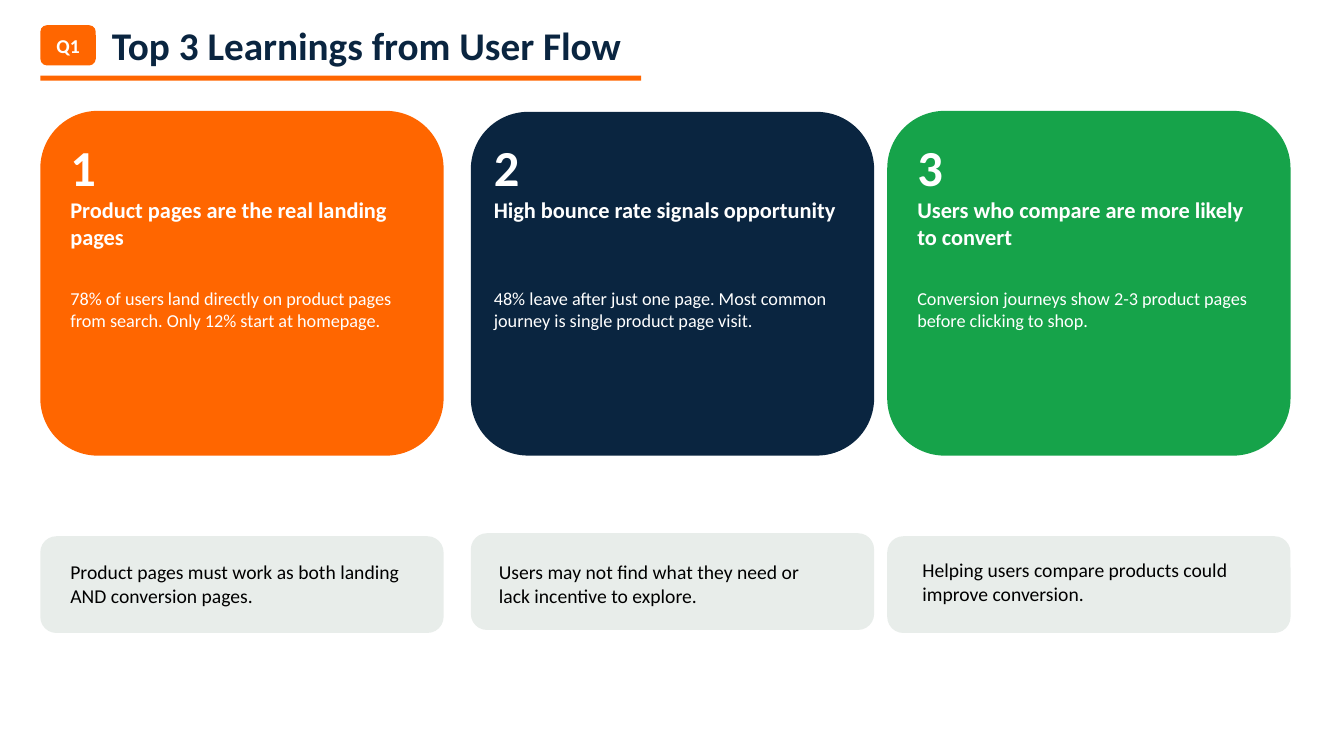
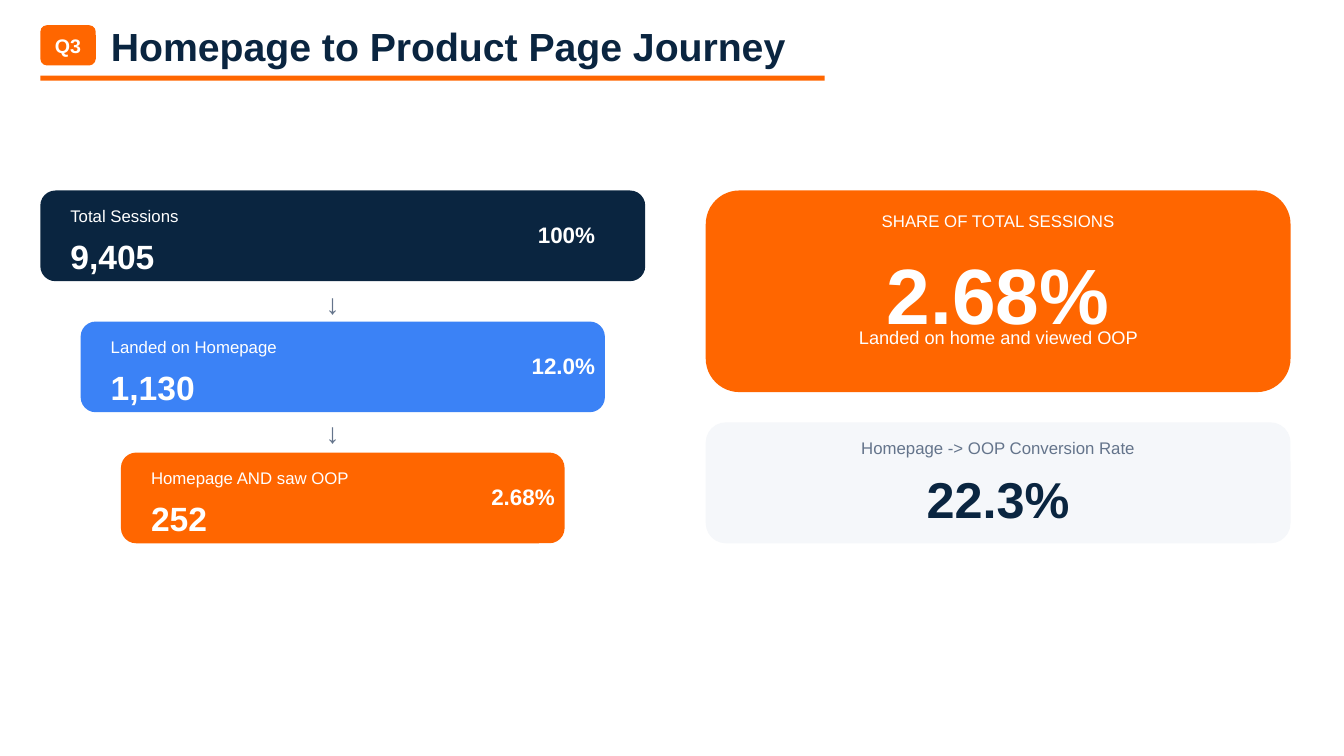
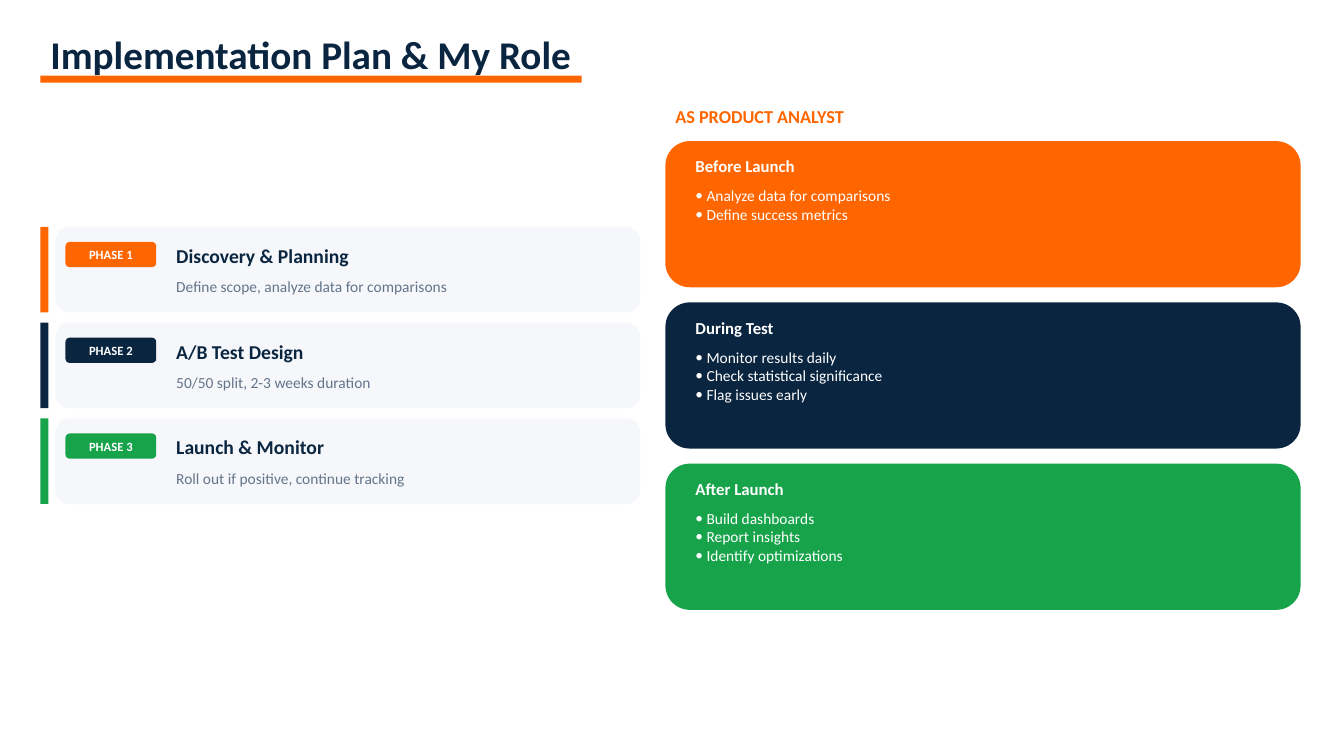
"""Build three user-flow slides: learnings, homepage funnel and rollout plan."""
import dataclasses

import pptx
import pptx.dml.color
import pptx.enum.shapes
import pptx.enum.text
import pptx.util
from lxml import etree

PX = 9144
SHAPE = pptx.enum.shapes.MSO_SHAPE
ALIGN = pptx.enum.text.PP_ALIGN
AUTO = pptx.enum.text.MSO_AUTO_SIZE
ANCHOR = pptx.enum.text.MSO_ANCHOR


@dataclasses.dataclass(frozen=True)
class Theme:
    """Colours, fonts and (size, bold) text styles."""
    orange = "FF6600"
    navy = "0A2540"
    green = "16A34A"
    blue = "3B82F6"
    sage = "E8EDEA"
    pale = "F5F7FA"
    slate = "64748B"
    white = "FFFFFF"
    black = "000000"
    main = "Calibri"
    alt = "Arial"
    title = (28, True)
    badge = (14, True)
    hero = (56, True)
    number = (36, True)
    count = (24, True)
    arrow = (20, False)
    heading = (16, True)
    phase = (14, True)
    note = (14, False)
    section = (13, True)
    body = (13, False)
    role = (12, True)
    label = (12, False)
    detail = (11, False)
    pill = (9, True)


T = Theme()


def box(sl, x, y, w, h, fill=None, kind=SHAPE.ROUNDED_RECTANGLE):
    """Add a filled shape, or a text box when there is no fill."""
    at = [v * PX for v in (x, y, w, h)]
    if fill is None:
        sp = sl.shapes.add_textbox(*at)
        sp.text_frame.auto_size = AUTO.SHAPE_TO_FIT_TEXT
        return sp
    sp = sl.shapes.add_shape(kind, *at)
    sp.shadow.inherit = False
    sp.fill.solid()
    sp.fill.fore_color.rgb = pptx.dml.color.RGBColor.from_string(fill)
    sp.line.fill.background()
    return sp


def write(sp, text, style, color, font=T.main, align=ALIGN.LEFT, wrap=False, bullets=False):
    """Write each line of text as one formatted paragraph."""
    tf = sp.text_frame
    tf.word_wrap = wrap
    for i, line in enumerate(text.split("\n")):
        p = tf.add_paragraph() if i else tf.paragraphs[0]
        p.alignment = align
        if bullets:
            pPr = p._p.get_or_add_pPr()
            pPr.set("marL", str(11 * PX))
            pPr.set("indent", str(-11 * PX))
            etree.SubElement(pPr, pptx.oxml.ns.qn("a:buFont"), typeface=font)
            etree.SubElement(pPr, pptx.oxml.ns.qn("a:buChar"), char="•")
        r = p.add_run()
        r.text = line
        r.font.name = font
        r.font.size = pptx.util.Pt(style[0])
        r.font.bold = style[1]
        r.font.color.rgb = pptx.dml.color.RGBColor.from_string(color)


prs = pptx.Presentation()
prs.slide_width, prs.slide_height = 1333 * PX, 750 * PX

headers = [
    ("Q1", "Top 3 Learnings from User Flow", T.main, (101, 16, 531, 57), (596, 5)),
    ("Q3", "Homepage to Product Page Journey", T.alt, (100, 17, 1100, 55), (778, 5)),
    (None, "Implementation Plan & My Role", T.main, (40, 25, 543, 57), (537, 7)),
]
slides = []
for badge, title, font, at, rule in headers:
    sl = prs.slides.add_slide(prs.slide_layouts[5])
    sp = sl.shapes.title
    sp.left, sp.top, sp.width, sp.height = [v * PX for v in at]
    sp.text_frame.vertical_anchor = ANCHOR.TOP
    sp.text_frame.auto_size = AUTO.SHAPE_TO_FIT_TEXT
    write(sp, title, T.title, T.navy, font)
    box(sl, 40, 75, *rule, T.orange, SHAPE.RECTANGLE)
    if badge:
        write(box(sl, 40, 25, 55, 40, T.orange), badge, T.badge, T.white, font, ALIGN.CENTER)
    slides.append(sl)
learnings, journey, plan = slides

cards = [
    (T.orange, 40, 110, 60, "Product pages are the real landing pages",
     "78% of users land directly on product pages from search. Only 12% start at homepage.",
     532, 60, 551, "Product pages must work as both landing AND conversion pages."),
    (T.navy, 467, 111, 480, "High bounce rate signals opportunity",
     "48% leave after just one page. Most common journey is single product page visit.",
     529, 485, 551, "Users may not find what they need or lack incentive to explore."),
    (T.green, 880, 110, 900, "Users who compare are more likely to convert",
     "Conversion journeys show 2-3 product pages before clicking to shop.",
     532, 905, 549, "Helping users compare products could improve conversion."),
]
for n, (color, x, y, tx, heading, body, note_y, note_tx, note_ty, note) in enumerate(cards, 1):
    box(learnings, x, y, 400, 452 - y, color)
    write(box(learnings, tx, 130, 46, 71), str(n), T.number, T.white)
    write(box(learnings, tx, 190, 360, 64), heading, T.heading, T.white, wrap=True)
    write(box(learnings, tx, 280, 360, 54), body, T.body, T.white, wrap=True)
    box(learnings, x, note_y, 400, 96, T.sage)
    write(box(learnings, note_tx, note_ty, 350, 57), note, T.note, T.black, wrap=True)

steps = [
    (T.navy, "Total Sessions", "9,405", "100%", 450),
    (T.blue, "Landed on Homepage", "1,130", "12.0%", 450),
    (T.orange, "Homepage AND saw OOP", "252", "2.68%", 410),
]
for i, (color, label, count, share, share_x) in enumerate(steps):
    x, y, w = 40 + 40 * i, 189 + 130 * i, 600 - 80 * i
    box(journey, x, y, w, 90, color)
    write(box(journey, x + 20, y + 10, w - 40, 30), label, T.label, T.white, T.alt)
    write(box(journey, x + 20, y + 40, 200, 40), count, T.count, T.white, T.alt)
    write(box(journey, share_x, y + 25, 150, 40), share, T.heading, T.white, T.alt, ALIGN.RIGHT)
for y in (279, 407):
    write(box(journey, 280, y, 100, 30), "↓", T.arrow, T.slate, T.alt, ALIGN.CENTER)

box(journey, 700, 189, 580, 200, T.orange)
box(journey, 700, 419, 580, 120, T.pale)
for y, h, text, style, color in [
    (204, 30, "SHARE OF TOTAL SESSIONS", T.label, T.white),
    (239, 80, "2.68%", T.hero, T.white),
    (319, 32, "Landed on home and viewed OOP", T.body, T.white),
    (429, 30, "Homepage -> OOP Conversion Rate", T.label, T.slate),
    (459, 60, "22.3%", T.number, T.navy),
]:
    write(box(journey, 720, y, 540, h), text, style, color, T.alt, ALIGN.CENTER)

phases = [
    (T.orange, "Discovery & Planning", "Define scope, analyze data for comparisons"),
    (T.navy, "A/B Test Design", "50/50 split, 2-3 weeks duration"),
    (T.green, "Launch & Monitor", "Roll out if positive, continue tracking"),
]
for i, (color, name, detail) in enumerate(phases):
    y = 225 + 95 * i
    box(plan, 40, y, 8, 85, color, SHAPE.RECTANGLE)
    box(plan, 55, y, 580, 85, T.pale)
    write(box(plan, 65, y + 15, 90, 25, color), f"PHASE {i + 1}", T.pill, T.white, align=ALIGN.CENTER)
    write(box(plan, 165, y + 12, 300, 34), name, T.phase, T.navy)
    write(box(plan, 165, y + 45, 300, 29), detail, T.detail, T.slate)

write(box(plan, 660, 100, 189, 32), "AS PRODUCT ANALYST", T.section, T.orange)
duties = [
    (T.orange, "Before Launch", "Analyze data for comparisons\nDefine success metrics"),
    (T.navy, "During Test", "Monitor results daily\nCheck statistical significance\nFlag issues early"),
    (T.green, "After Launch", "Build dashboards\nReport insights\nIdentify optimizations"),
]
for i, (color, stage, tasks) in enumerate(duties):
    y = 140 + 160 * i
    box(plan, 660, y, 630, 145, color)
    write(box(plan, 680, y + 10, 120, 30), stage, T.role, T.white)
    write(box(plan, 680, y + 40, 590, 66), tasks, T.detail, T.white, wrap=True, bullets=True)

prs.save("out.pptx")
